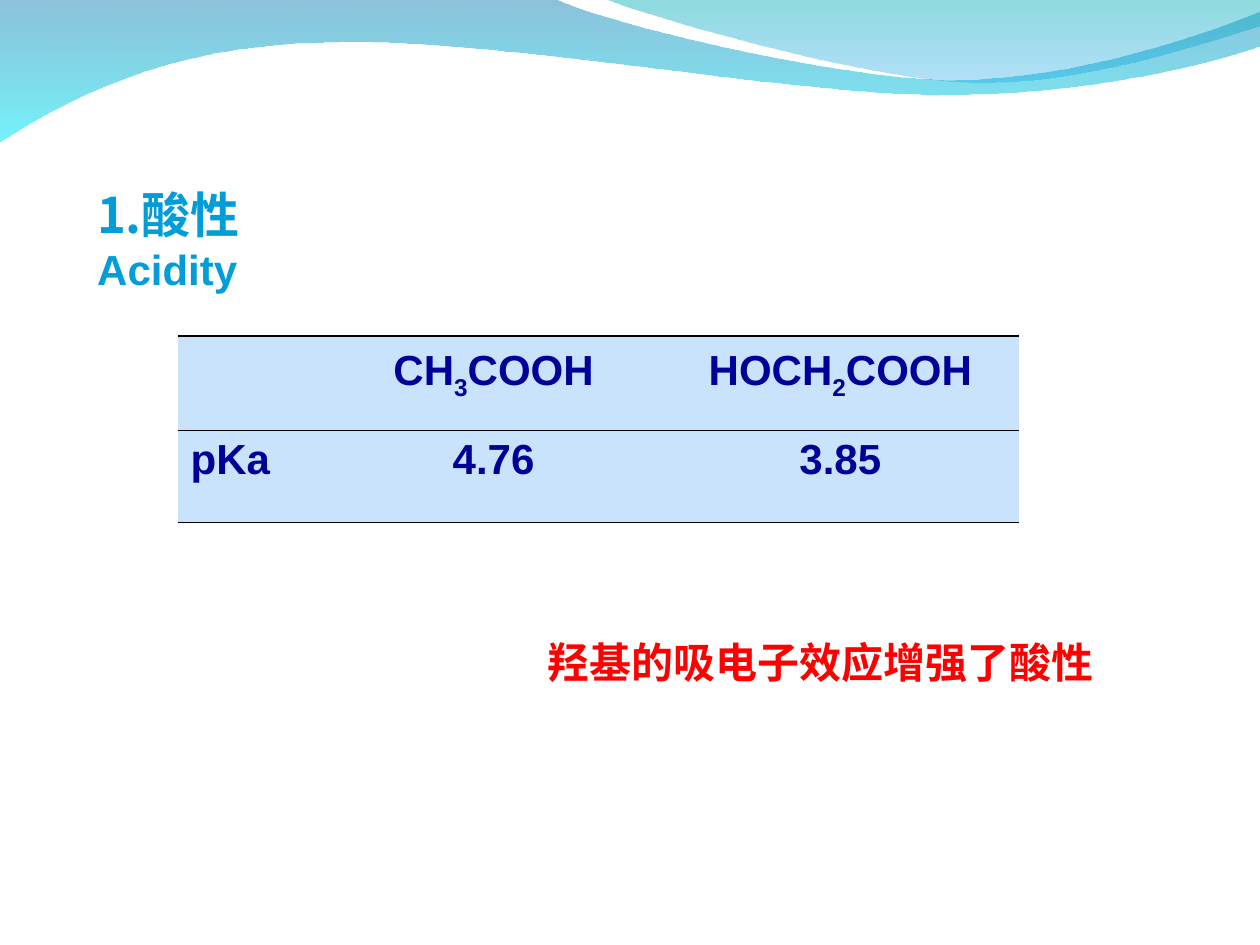
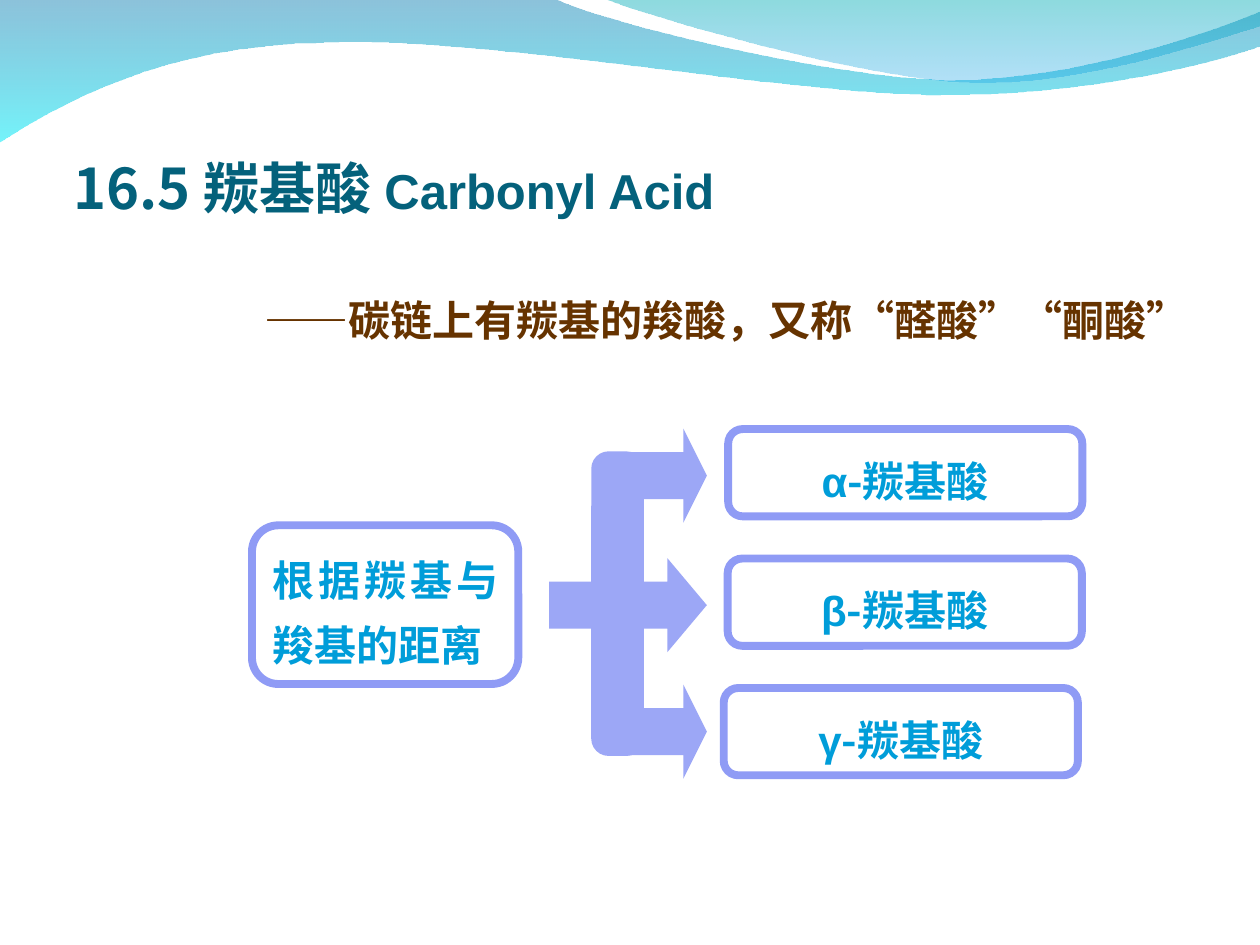
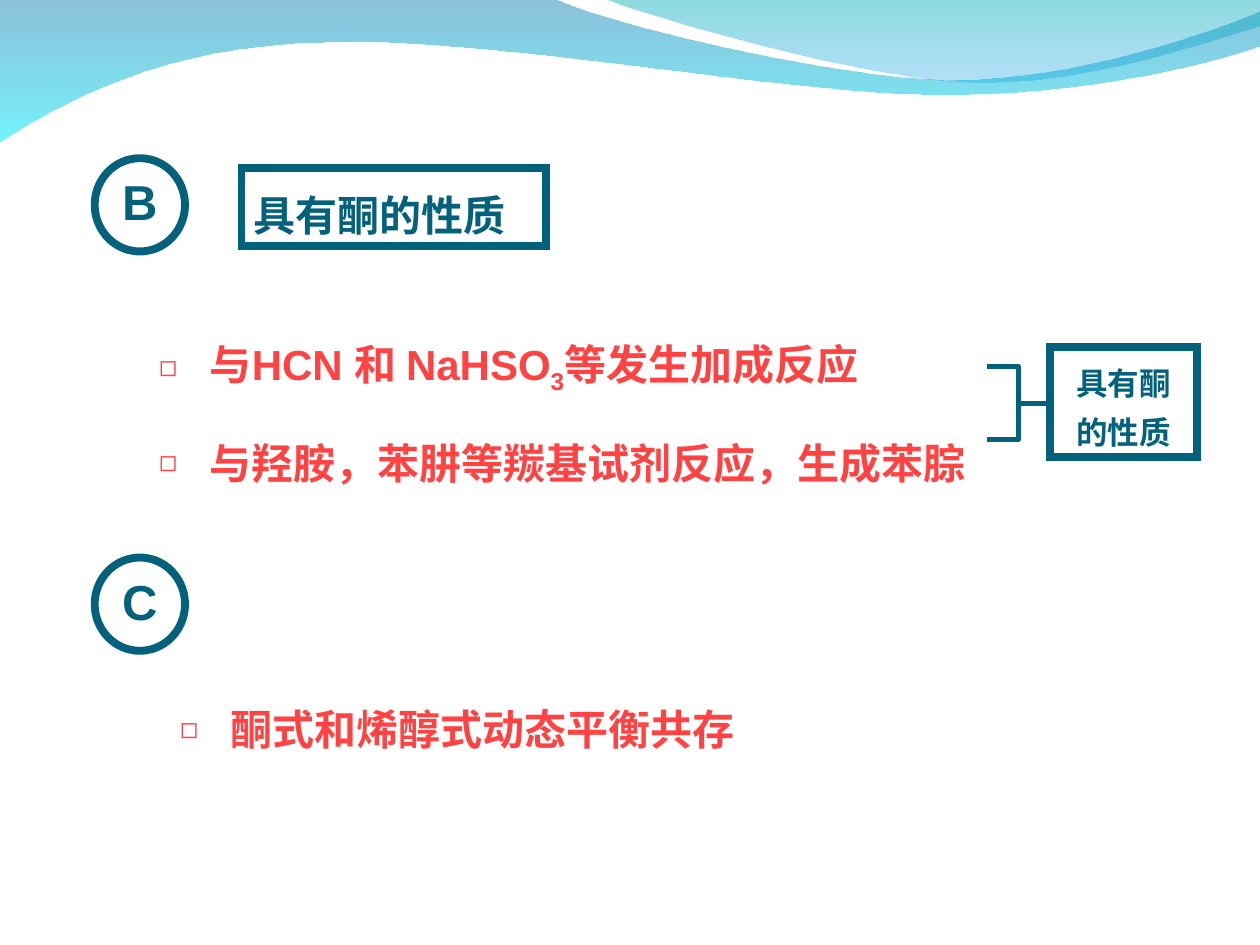
from lxml.etree import SubElement
from pptx import Presentation
from pptx.dml.color import RGBColor
from pptx.enum.shapes import MSO_SHAPE
from pptx.enum.text import MSO_ANCHOR, PP_ALIGN
from pptx.oxml.ns import qn
from pptx.util import Cm, Pt

COLORS = {
    "teal": "04617B", "blue": "009DD9", "navy": "000099", "red": "FF0000",
    "coral": "FF4343", "brown": "663300", "cell": "C8E3FB", "black": "000000",
    "outline": "8F9BF5", "arrow": "9CA7F6",
    "wave_top": "0079AF", "wave_bottom": "00EBF8",
    "crest_top": "00ADB6", "crest_bottom": "009BE5",
}
ARIAL, NOTO = "Arial", "Noto Sans CJK SC"
SUBSCRIPT = {"baseline": "-25000"}


def write_text(frame, paragraphs, look, bullet=False, **layout):
    """Fill a frame; each paragraph is a list of (text, changes to the look)."""
    frame.word_wrap = True
    for index, spans in enumerate(paragraphs):
        para = frame.add_paragraph() if index else frame.paragraphs[0]
        for key, value in ({"alignment": PP_ALIGN.LEFT} | layout).items():
            setattr(para, key, value)
        if bullet:
            if index:
                para.space_before = Pt(15)
            props = para._p.get_or_add_pPr()
            props.set("marL", str(Cm(1.02)))
            props.set("indent", str(Cm(-1.02)))
            tint = SubElement(props, qn("a:buClr"))
            SubElement(tint, qn("a:srgbClr"), val=COLORS["coral"])
            SubElement(props, qn("a:buSzPct"), val="70000")
            SubElement(props, qn("a:buFont"), typeface=ARIAL)
            SubElement(props, qn("a:buChar"), char="◻")
        for text, changes in spans:
            if text == "\n":
                para.add_line_break()
                continue
            span = para.add_run()
            span.text = text
            style = {"bold": True, "name": ARIAL} | look | changes
            span.font.color.rgb = RGBColor.from_string(COLORS[style.pop("color")])
            baseline = style.pop("baseline", None)
            for key, value in style.items():
                setattr(span.font, key, value)
            span_props = span._r.get_or_add_rPr()
            SubElement(span_props, qn("a:ea"), typeface=NOTO)
            if baseline:
                span_props.set("baseline", baseline)


def add_box(page, kind, place, fill=None, line=None):
    """Add a preset shape with a plain fill or a 4.5 pt outline."""
    box = page.shapes.add_shape(kind, *map(Cm, place))
    box.shadow.inherit = False
    if fill:
        box.fill.solid()
        box.fill.fore_color.rgb = RGBColor.from_string(COLORS[fill])
    else:
        box.fill.background()
    if line:
        box.line.color.rgb = RGBColor.from_string(COLORS[line])
        box.line.width = Pt(4.5)
        SubElement(box.line._get_or_add_ln(), qn("a:miter"), lim="800000")
    else:
        box.line.fill.background()
    return box


deck = Presentation()
deck.slide_width, deck.slide_height = Cm(25.4), Cm(19.05)
acidity, classes, ketone = [deck.slides.add_slide(deck.slide_layouts[6]) for _ in range(3)]

# Waves on the master: each step is one point (line) or three points (curve)
waves = [
    ((0, -0.03), [
        [(11.18, -0.03)],
        [(12.09, 0.43), (16.87, 1.6), (19.25, 1.6)],
        [(21.67, 1.6), (24.33, 0.66), (25.4, 0.23)],
        [(25.43, 0.91)],
        [(24.97, 1.12), (22.1, 1.93), (18.95, 1.91)],
        [(15.8, 1.91), (9.7, 0.71), (6.53, 0.86)],
        [(3.28, 0.89), (1.17, 2.11), (-0.03, 2.87)],
    ], [("wave_top", 45), ("wave_bottom", 55)]),
    ((12.17, -0.03), [
        [(12.93, 0.28), (17.32, 1.57), (19.53, 1.65)],
        [(21.74, 1.75), (24.41, 0.81), (25.4, 0.53)],
        [(25.4, 0)],
    ], [("crest_top", 45), ("crest_bottom", 30)]),
]
for start, steps, stops in waves:
    builder = acidity.shapes.build_freeform(Cm(start[0]), Cm(start[1]))
    builder.add_line_segments([(Cm(x), Cm(y)) for *_, (x, y) in steps], close=True)
    wave = builder.convert_to_shape()
    # Bend the segments that have control points
    for segment, step in zip(list(wave.element.iter(qn("a:lnTo"))), steps):
        if len(step) == 3:
            segment.tag = qn("a:cubicBezTo")
            segment.remove(segment[0])
            for x, y in step:
                SubElement(segment, qn("a:pt"), x=str(Cm(x) - wave.left), y=str(Cm(y) - wave.top))
    wave.shadow.inherit = False
    wave.line.fill.background()
    wave.fill.gradient()
    wave.fill.gradient_angle = 270
    for position, (stop, (name, _)) in enumerate(zip(wave.fill.gradient_stops, stops)):
        stop.position = position
        stop.color.rgb = RGBColor.from_string(COLORS[name])
    for tint, (_, opacity) in zip(wave.element.iter(qn("a:srgbClr")), stops):
        SubElement(tint, qn("a:alpha"), val=str(opacity * 1000))
    deck.slide_master.shapes.element.append(wave.element)

# Text boxes without an outline
text_boxes = [
    (acidity, (1.71, 3.6, 6.83, 1.45),
     [[("1.酸性", {"name": NOTO, "size": Pt(28)}), ("\n", {}), ("Acidity", {})]],
     {"size": Pt(24), "color": "blue"}, {}),
    (acidity, (10.79, 12.5, 12.07, 1.47), [[("羟基的吸电子效应增强了酸性", {})]],
     {"size": Pt(24), "color": "red"}, {"line_spacing": 1.2}),
    (classes, (5.08, 5.5, 19.68, 1.57),
     [[("——碳链上有羰基的羧酸，又称“醛酸”“酮酸”", {})]],
     {"size": Pt(24), "color": "brown", "name": NOTO}, {"line_spacing": 1.3}),
    (ketone, (2.96, 6.35, 17.15, 3.6),
     [[("与HCN 和 NaHSO", {}), ("3", SUBSCRIPT), ("等发生加成反应", {})],
      [("与羟胺，苯肼等羰基试剂反应，生成苯腙", {})]],
     {"size": Pt(24), "color": "coral"}, {"line_spacing": 1.3, "bullet": True}),
    (ketone, (3.38, 13.76, 12.9, 1.57), [[("酮式和烯醇式动态平衡共存", {})]],
     {"size": Pt(24), "color": "coral", "name": NOTO}, {"line_spacing": 1.3, "bullet": True}),
]
for page, place, paragraphs, look, layout in text_boxes:
    box = page.shapes.add_textbox(*map(Cm, place))
    write_text(box.text_frame, paragraphs, look, **layout)

# Slide 1: table of pKa values
rows = [
    [[], [("CH", {}), ("3", SUBSCRIPT), ("COOH", {})],
     [("HOCH", {}), ("2", SUBSCRIPT), ("COOH", {})]],
    [[("pKa", {})], [("4.76", {})], [("3.85", {})]],
]
table = acidity.shapes.add_table(2, 3, Cm(3.59), Cm(6.78), Cm(16.95), Cm(3.75)).table
table.first_row = table.horz_banding = False
table._tbl.tblPr.find(qn("a:tableStyleId")).text = "{2D5ABB26-0587-4C30-8999-92F81FD0307C}"
for column, width in zip(table.columns, (2.97, 6.78, 7.2)):
    column.width = Cm(width)
for row, height in zip(table.rows, (1.9, 1.85)):
    row.height = Cm(height)
edges = [{"a:lnT": 1.08, "a:lnB": 0.45}, {"a:lnT": 0.45, "a:lnB": 1.08}]
for row_index, row in enumerate(rows):
    for column_index, spans in enumerate(row):
        cell = table.cell(row_index, column_index)
        for edge, width in edges[row_index].items():
            border = SubElement(cell._tc.get_or_add_tcPr(), qn(edge), w=str(Pt(width)))
            SubElement(SubElement(border, qn("a:solidFill")), qn("a:srgbClr"), val=COLORS["black"])
        cell.fill.solid()
        cell.fill.fore_color.rgb = RGBColor.from_string(COLORS["cell"])
        write_text(cell.text_frame, [spans], {"size": Pt(24), "color": "navy"},
                   alignment=PP_ALIGN.CENTER if column_index else PP_ALIGN.LEFT,
                   line_spacing=1.0 if row_index else 1.1)

# Slide 2: one criterion branching into three classes
criterion = add_box(classes, MSO_SHAPE.ROUNDED_RECTANGLE, (5.08, 10.59, 5.37, 3.2), line="outline")
write_text(criterion.text_frame, [[("根据羰基与羧基的距离", {})]],
           {"size": Pt(24), "color": "blue"}, alignment=PP_ALIGN.JUSTIFY, line_spacing=1.3)
trunk = add_box(classes, MSO_SHAPE.ROUNDED_RECTANGLE, (11.92, 9.1, 1.06, 6.14), fill="arrow")
trunk.adjustments[0] = 0.33
branches = [("α", 12.35, 8.64, 1.9, 0.25, 14.68), ("β", 11.07, 11.25, 3.18, 0.42, 14.67),
            ("γ", 12.35, 13.8, 1.9, 0.25, 14.59)]
for index, (letter, arrow_left, arrow_top, arrow_width, head, box_left) in enumerate(branches):
    arrow = add_box(classes, MSO_SHAPE.RIGHT_ARROW,
                    (arrow_left, arrow_top, arrow_width, 1.9), fill="arrow")
    arrow.adjustments[1] = head
    box = add_box(classes, MSO_SHAPE.ROUNDED_RECTANGLE,
                  (box_left, 8.65 + index * 2.61, 7.14, 1.76), line="outline")
    write_text(box.text_frame, [[(letter, {}), ("-羰基酸", {"name": NOTO})]],
               {"size": Pt(24), "color": "blue"}, alignment=PP_ALIGN.CENTER, line_spacing=1.3)

# Slide 2: title
title = classes.shapes.add_textbox(Cm(1.48), Cm(1.92), Cm(15.04), Cm(2.54)).text_frame
title_format = {"margin_left": 0, "margin_right": 0, "margin_bottom": 0,
                "vertical_anchor": MSO_ANCHOR.BOTTOM}
for key, value in title_format.items():
    setattr(title, key, value)
write_text(title, [[("16.5 羰基酸 ", {"name": NOTO, "size": Pt(32)}), ("Carbonyl Acid", {})]],
           {"size": Pt(28), "color": "teal"})

# Slide 3: lettered circles
for letter, top in (("B", 3.19), ("C", 11.24)):
    circle = add_box(ketone, MSO_SHAPE.OVAL, (1.91, top, 1.82, 1.88), line="teal")
    write_text(circle.text_frame, [[(letter, {})]], {"size": Pt(28), "color": "teal"},
               alignment=PP_ALIGN.CENTER, line_spacing=0.9)

# Slide 3: framed labels
labels = [((4.87, 3.39, 6.14, 1.57), 24, PP_ALIGN.LEFT),
          ((21.16, 6.99, 2.97, 2.23), 18, PP_ALIGN.CENTER)]
for place, size, alignment in labels:
    label = add_box(ketone, MSO_SHAPE.RECTANGLE, place, line="teal")
    label.text_frame.vertical_anchor = MSO_ANCHOR.TOP
    write_text(label.text_frame, [[("具有酮的性质", {})]],
               {"size": Pt(size), "color": "teal", "name": NOTO},
               alignment=alignment, line_spacing=1.3)

# Slide 3: bracket joining both reactions to the last label
left, spine, right = Cm(19.89), Cm(20.53), Cm(21.16)
upper, middle, lower = Cm(7.39), Cm(8.13), Cm(8.86)
builder = ketone.shapes.build_freeform(left, upper)
builder.add_line_segments([(spine, upper), (spine, middle), (right, middle),
                           (spine, middle), (spine, lower), (left, lower)], close=False)
bracket = builder.convert_to_shape()
bracket.shadow.inherit = False
bracket.fill.background()
bracket.line.color.rgb = RGBColor.from_string(COLORS["teal"])
bracket.line.width = Pt(3)

deck.save("out.pptx")
